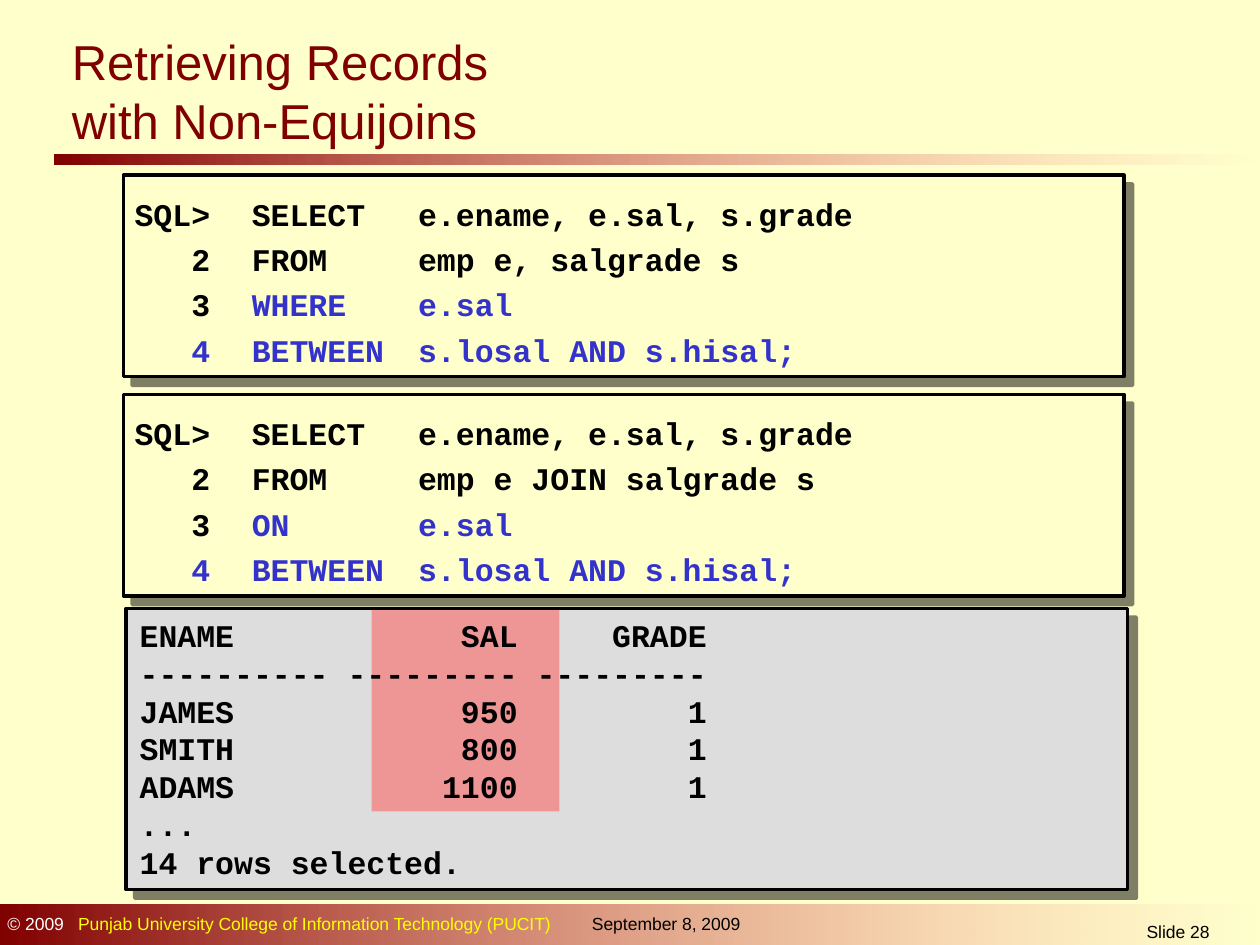
from lxml.etree import SubElement
from pptx import Presentation
from pptx.dml.color import RGBColor
from pptx.enum.shapes import MSO_SHAPE
from pptx.enum.text import MSO_ANCHOR as ANCHOR, PP_ALIGN as ALIGN
from pptx.oxml.ns import qn
from pptx.util import Inches, Pt

COLORS = {"cream": "FFFFCC", "maroon": "800000", "pink": "FF8585", "red": "FF5050",
          "gray": "DDDDDD", "black": "000000", "blue": "3333CC", "white": "FFFFFF",
          "yellow": "FFFF00"}
TITLE = "Retrieving Records \vwith Non-Equijoins"
BARS = [(0.43, 1.23, 9.57, 0.08), (0, 7.18, 10, 0.32)]
FOOTERS = [
    ((0, 7.2, 4.5, 0.27), ALIGN.LEFT, [0.56],
     [("© 2009\t", "white"), ("Punjab University College of Information Technology (PUCIT)", "yellow")]),
    ((4.6, 7.2, 1.5, 0.27), ALIGN.LEFT, [], [("September 8, 2009", "black")]),
    ((8.7, 7.26, 1.3, 0.24), ALIGN.CENTER, [], [("Slide 28", "black")]),
]
QUERIES = [
    (1.39, "emp e, salgrade s", "WHERE"),
    (3.13, "emp e JOIN salgrade s", "ON"),
]
OUTPUT = [
    "ENAME            SAL     GRADE",
    "---------- --------- ---------",
    "JAMES            950         1",
    "SMITH            800         1",
    "ADAMS           1100         1",
    "...",
    "14 rows selected.",
]
CODE = {"name": "Courier New", "size": Pt(18), "bold": True}
SMALL = {"name": "Arial", "size": Pt(10), "bold": False}


def rgb(name):
    return RGBColor.from_string(COLORS[name])


def set_alpha(color, percent):
    SubElement(color, qn("a:alpha"), val=str(percent * 1000))


def add_rect(s, box, fill=None, line=None):
    sp = s.shapes.add_shape(MSO_SHAPE.RECTANGLE, *map(Inches, box))
    sp.shadow.inherit = False
    if fill:
        sp.fill.solid()
        sp.fill.fore_color.rgb = rgb(fill)
    if line:
        sp.line.color.rgb = rgb(line)
        sp.line.width = Pt(2)
    else:
        sp.line.fill.background()
    return sp


def add_bar(s, box):
    sp = add_rect(s, box)
    sp.fill.gradient()
    sp.fill.gradient_angle = 0
    for stop, name, position in zip(sp.fill.gradient_stops, ("maroon", "pink"), (0, 1)):
        stop.color.rgb = rgb(name)
        stop.position = position
    set_alpha(sp._element.spPr.findall(".//" + qn("a:srgbClr"))[-1], 0)


def add_panel(s, box, fill):
    sp = add_rect(s, box, fill, "black")
    effects = sp._element.spPr.find(qn("a:effectLst"))
    shadow = SubElement(effects, qn("a:outerShdw"), dist=str(Pt(7.1)), dir="2700000",
                        algn="ctr", rotWithShape="0")
    set_alpha(SubElement(shadow, qn("a:srgbClr"), val=COLORS["black"]), 50)


def add_text(s, box, lines, font, align=ALIGN.LEFT, tabs=(), anchor=ANCHOR.TOP, spacing=None):
    tf = s.shapes.add_textbox(*map(Inches, box)).text_frame
    tf.word_wrap = True
    tf.vertical_anchor = anchor
    if box[0] == 0:
        tf.margin_left = Inches(0.06)
    for i, runs in enumerate(lines):
        p = tf.add_paragraph() if i else tf.paragraphs[0]
        p.alignment = align
        if spacing:
            p.line_spacing = spacing
        if tabs:
            tab_list = SubElement(p._p.get_or_add_pPr(), qn("a:tabLst"))
            for tab in tabs:
                SubElement(tab_list, qn("a:tab"), pos=str(Inches(tab)), algn="l")
        for text, color in runs:
            r = p.add_run()
            r.text = text
            r.font.color.rgb = rgb(color)
            for key, value in font.items():
                setattr(r.font, key, value)


def add_title(s):
    sp = s.shapes.title
    sp.left, sp.top, sp.width, sp.height = map(Inches, (0.47, 0.21, 9.05, 1.02))
    tf = sp.text_frame
    tf.text = TITLE
    tf.vertical_anchor = ANCHOR.MIDDLE
    p = tf.paragraphs[0]
    p.alignment = ALIGN.LEFT
    for r in p.runs:
        r.font.name, r.font.size = "Arial", Pt(28)
        r.font.color.rgb = rgb("maroon")


def add_query(s, top, source, keyword):
    add_panel(s, (0.98, top, 7.94, 1.6), "cream")
    lines = [
        [("SQL> \tSELECT \te.ename, e.sal, s.grade", "black")],
        [(f"   2\tFROM\t{source}", "black")],
        [("   3\t", "black"), (f"{keyword} \te.sal", "blue")],
        [("   4\tBETWEEN \ts.losal AND s.hisal;", "blue")],
    ]
    add_text(s, (0.97, top, 7.97, 1.63), lines, CODE, tabs=(0.93, 2.25),
             anchor=ANCHOR.MIDDLE, spacing=1.2)


def main():
    """Build the non-equijoin slide."""
    prs = Presentation()
    prs.slide_width, prs.slide_height = Inches(10), Inches(7.5)
    s = prs.slides.add_slide(prs.slide_layouts[5])
    s.background.fill.solid()
    s.background.fill.fore_color.rgb = rgb("cream")
    for box in BARS:
        add_bar(s, box)
    for box, align, tabs, runs in FOOTERS:
        add_text(s, box, [runs], SMALL, align, tabs)
    add_title(s)
    add_panel(s, (1, 4.83, 7.95, 2.23), "gray")
    highlight = add_rect(s, (2.95, 4.84, 1.49, 1.6), "red")
    set_alpha(highlight._element.spPr.find(".//" + qn("a:srgbClr")), 50)
    add_text(s, (1.01, 4.84, 7.92, 2.2), [[(line, "black")] for line in OUTPUT], CODE)
    for query in QUERIES:
        add_query(s, *query)
    prs.save("out.pptx")


if __name__ == "__main__":
    main()
